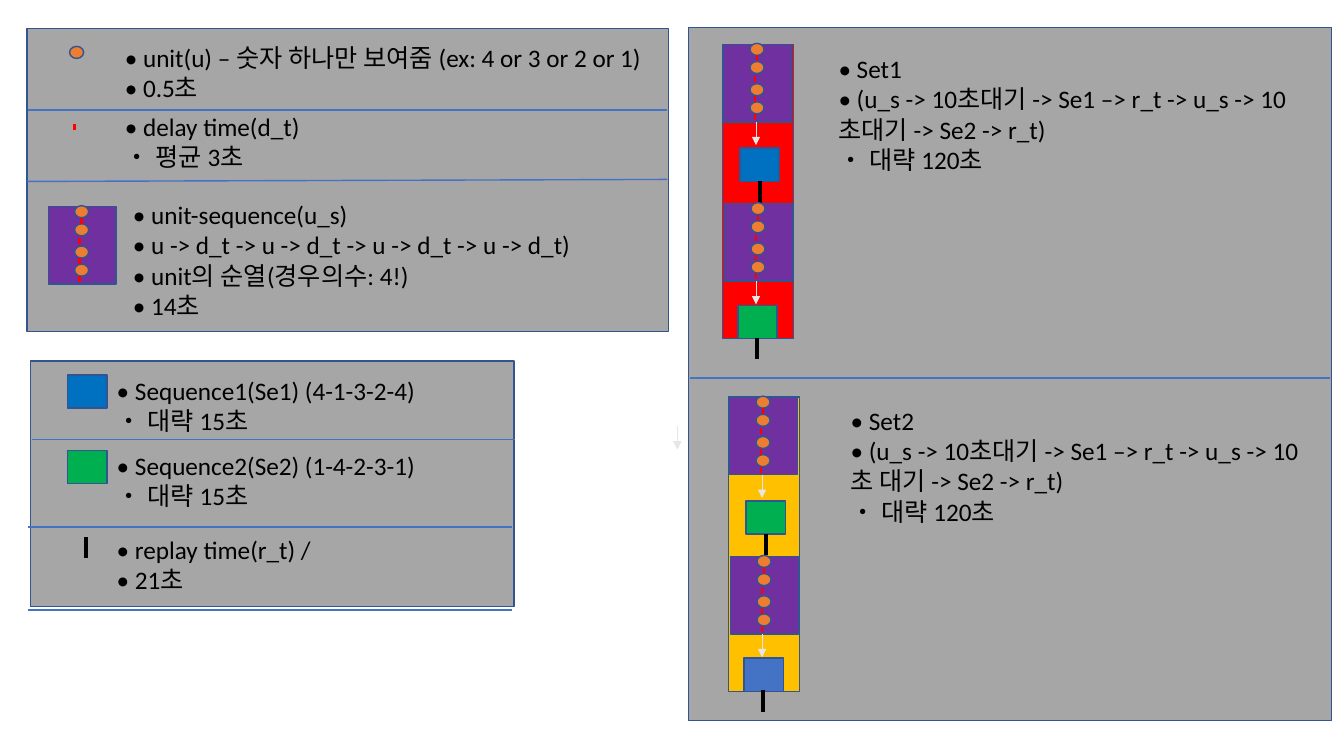
import pptx
import pptx.util
import pptx.dml.color
import pptx.enum.shapes
import pptx.enum.text
import pptx.oxml.ns
import lxml.etree

# Every position is a column or row of a fine grid, 100 cells to the inch
CELL = pptx.util.Inches(0.01)
COLS, ROWS = 1333.3, 750

GREY, EDGE, RULE, PALE = "A6A6A6", "325491", "4472C4", "E7E6E6"
BLUE, GREEN, PURPLE, ORANGE = "0070C0", "00B050", "7030A0", "ED7D31"
RED, GOLD, BLACK = "FF0000", "FFC000", "000000"

# Content: panels (left, top, width, height)
PANELS = [(683, 27, 638, 688), (30, 358, 480, 244), (27, 28, 636, 301)]

# Rules between entries (x1, y1, x2, y2)
RULES = [
    (28, 523, 508, 523), (28, 605, 508, 605), (28, 109, 662, 109),
    (27, 180, 662, 178), (685, 375, 1319, 375), (32, 436, 511, 436),
]

# Entries (left, top, width, lines)
ENTRIES = [
    (114, 37, 553, ["• unit(u) – 숫자 하나만 보여줌 (ex: 4 or 3 or 2 or 1)", "• 0.5초"]),
    (114, 105, 525, ["• delay time(d_t)", "• 평균 3초"]),
    (122, 193, 525, ["• unit-sequence(u_s)",
                     "• u -> d_t -> u -> d_t -> u -> d_t -> u -> d_t)",
                     "• unit의 순열(경우의수: 4!)", "• 14초"]),
    (106, 367, 476, ["• Sequence1(Se1) (4-1-3-2-4)", "• 대략 15초"]),
    (106, 442, 476, ["• Sequence2(Se2) (1-4-2-3-1)", "• 대략 15초"]),
    (106, 525, 434, ["• replay time(r_t) /", "• 21초"]),
    (822, 48, 491, ["• Set1",
                    "• (u_s -> 10초대기 -> Se1 –> r_t -> u_s -> 10초대기 -> Se2 -> r_t)",
                    "• 대략 120초"]),
    (834, 397, 479, ["• Set2",
                     "• (u_s -> 10초대기 -> Se1 –> r_t -> u_s -> 10초 대기 -> Se2 -> r_t)",
                     "• 대략 120초"]),
]

# Sets (left, top, column colour, first and second sequence colour)
SETS = [(717, 44, RED, BLUE, GREEN), (723, 394, GOLD, GREEN, RULE)]

# Parts of a unit-sequence, measured from its top left corner
UNIT_ROWS = [-1, 17, 39, 57]
DELAYS = [(33, 11), (31, 31), (31, 51), (31, 69)]

# The two steps of a set: offsets of unit-sequence, arrow, sequence, replay
STEPS = [((1, 0), (33, 77), (17, 103), (37, 136)),
         ((2, 158), (33, 235), (15, 259), (34, 291))]

SHAPE = pptx.enum.shapes.MSO_SHAPE


def at(*cells):
    return [round(c * CELL) for c in cells]


def rgb(color):
    return pptx.dml.color.RGBColor.from_string(color)


def block(shapes, x, y, w, h, fill, kind=SHAPE.RECTANGLE):
    sp = shapes.add_shape(kind, *at(x, y, w, h))
    sp.shadow.inherit = False
    sp.fill.solid()
    sp.fill.fore_color.rgb = rgb(fill)
    sp.line.color.rgb = rgb(EDGE)
    sp.line.width = pptx.util.Pt(1)


def line(shapes, x1, y1, x2, y2, color, width, arrow=False):
    cx = shapes.add_connector(pptx.enum.shapes.MSO_CONNECTOR.STRAIGHT,
                              *at(x1, y1, x2, y2))
    cx.line.color.rgb = rgb(color)
    cx.line.width = pptx.util.Pt(width)
    qn = pptx.oxml.ns.qn
    if arrow:
        lxml.etree.SubElement(cx.line._get_or_add_ln(), qn("a:tailEnd"), type="triangle")
    lxml.etree.SubElement(cx._element.spPr, qn("a:effectLst"))


def unit(shapes, x, y):
    block(shapes, x, y, 14, 12, ORANGE, SHAPE.OVAL)


def delay(shapes, x, y):
    line(shapes, x, y, x, y + 6, RED, 0)


def sequence(shapes, x, y, fill):
    block(shapes, x, y, 39, 33, fill)


def replay(shapes, x, y):
    line(shapes, x, y, x, y + 21, BLACK, 3)


def arrow(shapes, x, y):
    line(shapes, x, y, x, y + 23, PALE, 0.5, arrow=True)


def unit_sequence(shapes, x, y):
    block(shapes, x, y, 67, 77, PURPLE)
    for row in UNIT_ROWS:
        unit(shapes, x + 26, y + row)
    for dx, dy in DELAYS:
        delay(shapes, x + dx, y + dy)


def set_column(shapes, x, y, fill, *colors):
    block(shapes, x, y, 70, 292, fill)
    for (units, wait, seq, rest), color in zip(STEPS, colors):
        sequence(shapes, x + seq[0], y + seq[1], color)
        replay(shapes, x + rest[0], y + rest[1])
        unit_sequence(shapes, x + units[0], y + units[1])
        arrow(shapes, x + wait[0], y + wait[1])


def entry(shapes, x, y, w, lines):
    tf = shapes.add_textbox(*at(x, y, w, 11 + 30 * len(lines))).text_frame
    tf.word_wrap = True
    tf.auto_size = pptx.enum.text.MSO_AUTO_SIZE.SHAPE_TO_FIT_TEXT
    tf.text = "\n".join(lines)
    for p in tf.paragraphs:
        for r in p.runs:
            r.font.name = "Calibri"
            r.font.size = pptx.util.Pt(18)
            r.font.color.rgb = rgb(BLACK)


def main():
    prs = pptx.Presentation()
    prs.slide_width, prs.slide_height = at(COLS, ROWS)
    s = prs.slides.add_slide(prs.slide_layouts[6])
    shapes = s.shapes

    # Panels and rules
    for panel in PANELS:
        block(shapes, *panel, GREY)
    for rule in RULES:
        line(shapes, *rule, RULE, 1)

    # Symbols of the legend
    unit(shapes, 69, 46)
    delay(shapes, 74, 123)
    unit_sequence(shapes.add_group_shape().shapes, 48, 205)
    sequence(shapes, 67, 372, BLUE)
    sequence(shapes, 67, 447, GREEN)
    replay(shapes, 85, 533)
    arrow(shapes, 672, 423)

    # Set columns
    for column in SETS:
        set_column(shapes.add_group_shape().shapes, *column)

    # Texts
    for item in ENTRIES:
        entry(shapes, *item)

    prs.save("out.pptx")


if __name__ == "__main__":
    main()
